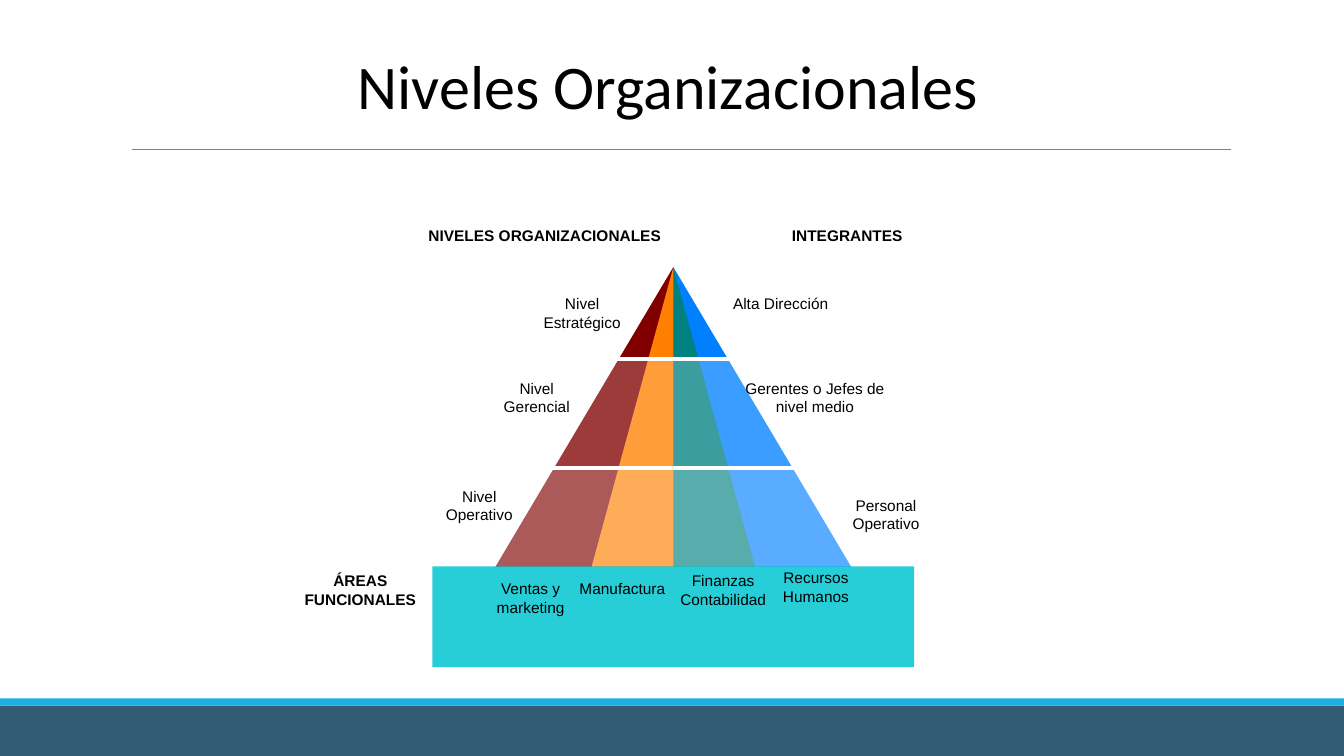
from lxml import etree
from pptx import Presentation
from pptx.dml.color import RGBColor
from pptx.enum.shapes import MSO_CONNECTOR, MSO_SHAPE
from pptx.enum.text import MSO_ANCHOR, PP_ALIGN
from pptx.oxml.ns import qn
from pptx.util import Inches, Pt

STRAIGHT = MSO_CONNECTOR.STRAIGHT
RECTANGLE, RIGHT_TRIANGLE = MSO_SHAPE.RECTANGLE, MSO_SHAPE.RIGHT_TRIANGLE
CENTER, TOP, MIDDLE = PP_ALIGN.CENTER, MSO_ANCHOR.TOP, MSO_ANCHOR.MIDDLE

BLACK = RGBColor(0x00, 0x00, 0x00)
WHITE = RGBColor(0xFF, 0xFF, 0xFF)
GRAY = RGBColor(0x80, 0x80, 0x80)
NAVY = RGBColor(0x33, 0x5B, 0x74)
SKY = RGBColor(0x1C, 0xAD, 0xE4)
TURQUOISE = RGBColor(0x27, 0xCE, 0xD7)
BLUE = RGBColor(0x00, 0x80, 0xFF)
TEAL = RGBColor(0x00, 0x80, 0x80)
MAROON = RGBColor(0x80, 0x00, 0x00)
ORANGE = RGBColor(0xFF, 0x80, 0x00)

COLUMNS, ROWS = 133.33, 75
WIDTH, HEIGHT = Inches(13.33), Inches(7.5)
AXIS, APEX, PYRAMID_ROWS, HALF_BASE, HALF_CORE = 66.8, 26.5, 39.6, 23.5, 10.8
BAND_LEFT, BAND_COLUMNS = 42.9, 47.8
MANAGEMENT_TOP, OPERATION_TOP, AREAS_TOP = 35.6, 46.4, 56.2
CUT_OVERHANG = 1.1

LABEL_FRAME = {"word_wrap": True, "vertical_anchor": TOP, "margin_left": Inches(0.04),
               "margin_right": Inches(0.04), "margin_top": 0, "margin_bottom": 0}
TITLE_FRAME = {"word_wrap": True, "vertical_anchor": MIDDLE}
LABEL_FONT = {"name": "Arial", "size": Pt(11), "bold": False}
HEADING_FONT = {**LABEL_FONT, "bold": True}
TITLE_FONT = {"name": "Calibri", "size": Pt(44.3), "bold": False}

FACES = [(1, HALF_BASE, BLUE), (1, HALF_CORE, TEAL),
         (-1, HALF_BASE, MAROON), (-1, HALF_CORE, ORANGE)]
HEADINGS = [("NIVELES ORGANIZACIONALES", 41.6, 22.4, 24.9),
            ("INTEGRANTES", 76.5, 22.4, 15.1),
            ("ÁREAS\vFUNCIONALES", 23.3, 56.7, 24.9)]
LABELS = [("Nivel\vEstratégico", 50.2, 29.2, 15.1),
          ("Nivel\vGerencial", 45.7, 37.6, 15.1),
          ("Nivel\vOperativo", 40, 48.3, 15.1),
          ("Alta Dirección", 69.9, 29.2, 15.1),
          ("Gerentes o Jefes de\vnivel medio", 73.3, 37.6, 15.1),
          ("Personal\vOperativo", 80.8, 49.2, 14.2),
          ("Ventas y\vmarketing", 46.7, 57.5, 11.9),
          ("Manufactura", 55.8, 57.5, 11.9),
          ("Finanzas\vContabilidad", 65.8, 56.7, 11.9),
          ("Recursos\vHumanos", 75, 56.4, 11.9)]


def apply(target, values):
    """Set each named format value on the target."""
    for name, value in values.items():
        setattr(target, name, value)


class LevelsSlide:
    """Draw styled elements on one slide, measured in grid columns and rows."""

    def __init__(self, deck):
        self.slide = deck.slides.add_slide(deck.slide_layouts[5])

    def place(self, left, top, columns, rows):
        """Convert a grid cell range to slide lengths."""
        return (round(WIDTH * left / COLUMNS), round(HEIGHT * top / ROWS),
                round(WIDTH * columns / COLUMNS), round(HEIGHT * rows / ROWS))

    def block(self, preset, cells, color, opacity=100, mirrored=False):
        """Add a borderless filled shape."""
        block = self.slide.shapes.add_shape(preset, *self.place(*cells))
        block.shadow.inherit = False
        block.line.fill.background()
        block.fill.solid()
        block.fill.fore_color.rgb = color
        properties = block._element.spPr
        if mirrored:
            properties.find(qn("a:xfrm")).set("flipH", "1")
        if opacity < 100:
            tint = properties.find(qn("a:solidFill")).find(qn("a:srgbClr"))
            etree.SubElement(tint, qn("a:alpha")).set("val", str(opacity * 1000))

    def rule(self, start, end, row, color, points):
        """Add a horizontal line without shadow."""
        left, top, length, _ = self.place(start, row, end - start, 0)
        rule = self.slide.shapes.add_connector(STRAIGHT, left, top, left + length, top)
        rule.line.color.rgb = color
        rule.line.width = Pt(points)
        etree.SubElement(rule._element.spPr, qn("a:effectLst"))

    def fill_text(self, holder, wording, frame_format, font_format):
        """Fill a text holder with centred black wording."""
        frame = holder.text_frame
        apply(frame, frame_format)
        frame.text = wording
        paragraph = frame.paragraphs[0]
        paragraph.alignment = CENTER
        for run in paragraph.runs:
            apply(run.font, font_format)
            run.font.color.rgb = BLACK
        return paragraph

    def label(self, wording, left, top, columns, font_format):
        """Add a caption beside or below the pyramid."""
        rows = 4.4 if "\v" in wording else 2.8
        caption = self.slide.shapes.add_textbox(*self.place(left, top, columns, rows))
        self.fill_text(caption, wording, LABEL_FRAME, font_format).space_before = Pt(9)

    def title(self, wording, cells):
        """Move and fill the title placeholder."""
        heading = self.slide.shapes.title
        apply(heading, dict(zip(("left", "top", "width", "height"), self.place(*cells))))
        self.fill_text(heading, wording, TITLE_FRAME, TITLE_FONT)


def main():
    """Build the organizational levels slide."""
    deck = Presentation()
    apply(deck, {"slide_width": WIDTH, "slide_height": HEIGHT})
    levels = LevelsSlide(deck)
    levels.block(RECTANGLE, (0, 70, COLUMNS, 5), NAVY)
    levels.block(RECTANGLE, (0, 69.3, COLUMNS, 0.7), SKY)
    levels.rule(13.1, 122.1, 14.8, GRAY, 0.5)
    for side, half, color in FACES:
        left = AXIS if side > 0 else AXIS - half
        levels.block(RIGHT_TRIANGLE, (left, APEX, half, PYRAMID_ROWS), color,
                     mirrored=side < 0)
    for top, bottom, opacity in ((OPERATION_TOP, AREAS_TOP, 35),
                                 (MANAGEMENT_TOP, OPERATION_TOP, 23)):
        levels.block(RECTANGLE, (BAND_LEFT, top, BAND_COLUMNS, bottom - top), WHITE, opacity)
    for cut in (OPERATION_TOP, MANAGEMENT_TOP):
        reach = HALF_BASE * (cut - APEX) / PYRAMID_ROWS + CUT_OVERHANG
        levels.rule(AXIS - reach, AXIS + reach, cut, WHITE, 3)
    levels.block(RECTANGLE, (BAND_LEFT, AREAS_TOP, BAND_COLUMNS, 10), TURQUOISE)
    for captions, font_format in ((LABELS, LABEL_FONT), (HEADINGS, HEADING_FONT)):
        for caption in captions:
            levels.label(*caption, font_format)
    levels.title("Niveles Organizacionales", (17.5, 5.6, 97.5, 5.7))
    deck.save("out.pptx")


if __name__ == "__main__":
    main()
